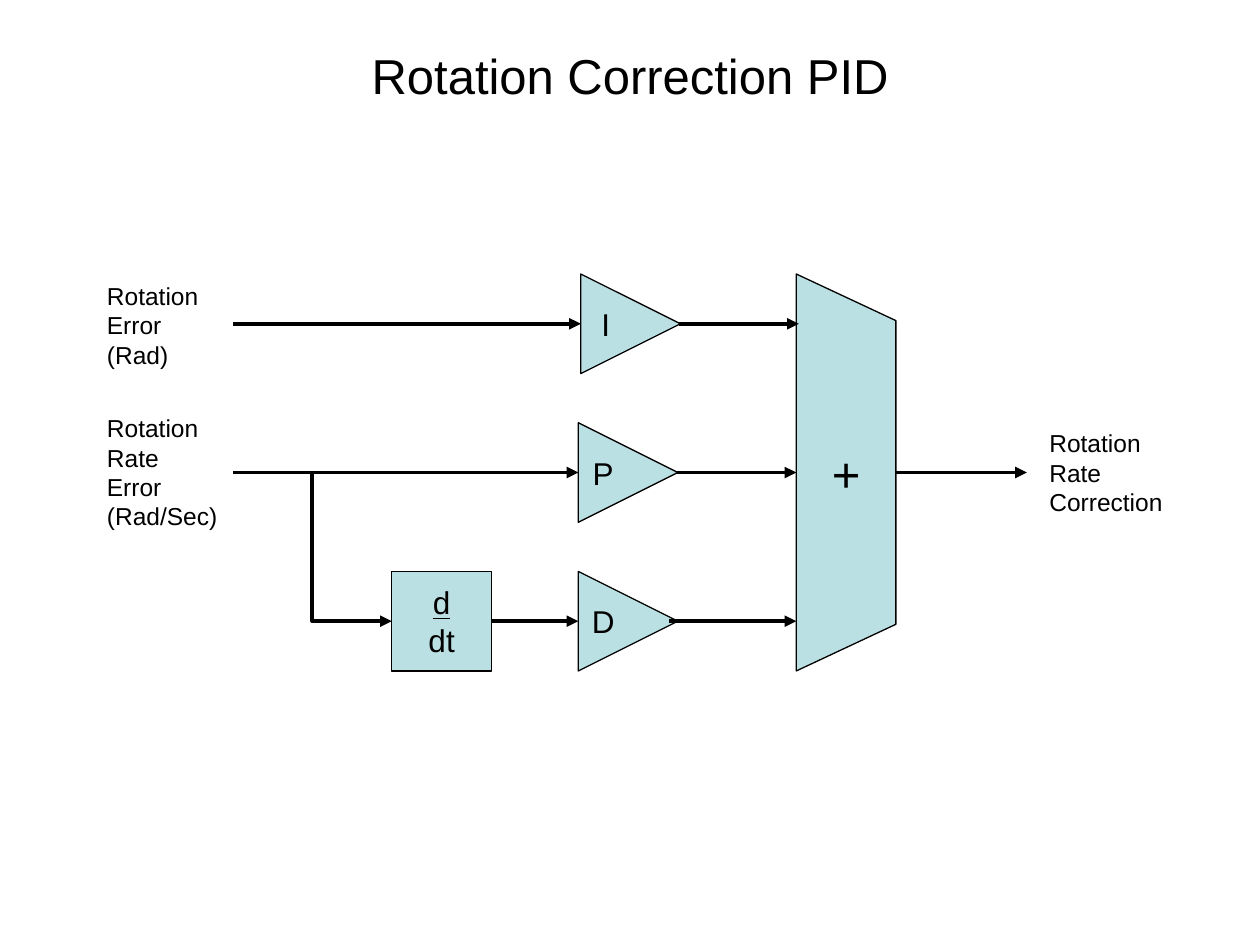
from pptx import Presentation
from pptx.dml.color import RGBColor
from pptx.enum.shapes import MSO_CONNECTOR, MSO_SHAPE
from pptx.enum.text import MSO_ANCHOR, PP_ALIGN
from pptx.oxml.ns import qn
from pptx.util import Inches, Pt
from lxml import etree

STRAIGHT, ELBOW = MSO_CONNECTOR.STRAIGHT, MSO_CONNECTOR.ELBOW
TRIANGLE, RECTANGLE = MSO_SHAPE.ISOSCELES_TRIANGLE, MSO_SHAPE.RECTANGLE
CENTER, LEFT = PP_ALIGN.CENTER, PP_ALIGN.LEFT
MIDDLE, TOP = MSO_ANCHOR.MIDDLE, MSO_ANCHOR.TOP
BLACK = RGBColor(0x00, 0x00, 0x00)
BLOCK_FILL = RGBColor(0xBB, 0xE0, 0xE3)

# Grid in inches: three signal rows, square blocks
BLOCK = 0.79
ROWS = [2.57 + 1.18 * i for i in range(3)]
INPUT_X, DERIVATIVE_X, SUM_X, OUTPUT_X = 1.85, 3.11, 6.32, 8.15
SUM_SLOPE = 0.37

# Content
TITLE = "Rotation Correction PID"
GAINS = [("I", 4.61), ("P", 4.59), ("D", 4.59)]  # letter, left edge
LABELS = [
    ("Rotation\vError\n(Rad)", 0.75, 2.18, 0.92, 0.8),
    ("Rotation\nRate\nError\n(Rad/Sec)", 0.75, 3.23, 1.08, 1.04),
    ("Rotation\nRate\nCorrection", 8.23, 3.35, 1.1, 0.8),
]
ARROWS = [  # kind, from x, from row, to x, to row
    (STRAIGHT, INPUT_X, 0, 4.61, 0),
    (STRAIGHT, INPUT_X, 1, 4.59, 1),
    (ELBOW, INPUT_X, 1, DERIVATIVE_X, 2),
    (STRAIGHT, DERIVATIVE_X + BLOCK, 2, 4.59, 2),
    (STRAIGHT, 5.39, 0, 6.34, 0),
    (STRAIGHT, 5.37, 1, SUM_X, 1),
    (STRAIGHT, 5.31, 2, SUM_X, 2),
    (STRAIGHT, SUM_X + BLOCK, 1, OUTPUT_X, 1),
]


def write(s, text, size, align=CENTER, anchor=MIDDLE, **frame):
    tf = s.text_frame
    tf.text = text
    for name, value in {"vertical_anchor": anchor, **frame}.items():
        setattr(tf, name, value)
    for p in tf.paragraphs:
        p.alignment = align
        for r in p.runs:
            r.font.name, r.font.size = "Arial", Pt(size)
            r.font.color.rgb = BLACK


def style_block(s):
    s.shadow.inherit = False
    s.fill.solid()
    s.fill.fore_color.rgb = BLOCK_FILL
    s.line.color.rgb = BLACK
    s.line.width = Pt(0.75)


def add_block(shapes, kind, x, row):
    s = shapes.add_shape(kind, Inches(x), Inches(ROWS[row] - BLOCK / 2),
                         Inches(BLOCK), Inches(BLOCK))
    style_block(s)
    return s


def add_sum(shapes):
    top, bottom = ROWS[0] - BLOCK / 2, ROWS[2] + BLOCK / 2
    right = SUM_X + BLOCK
    builder = shapes.build_freeform(Inches(SUM_X), Inches(bottom))
    corners = [(SUM_X, top), (right, top + SUM_SLOPE), (right, bottom - SUM_SLOPE)]
    builder.add_line_segments([(Inches(x), Inches(y)) for x, y in corners])
    s = builder.convert_to_shape()
    style_block(s)
    write(s, "+", 28)


def add_arrow(shapes, kind, x1, row1, x2, row2):
    c = shapes.add_connector(kind, Inches(x1), Inches(ROWS[row1]),
                             Inches(x2), Inches(ROWS[row2]))
    c.line.color.rgb = BLACK
    c.line.width = Pt(2.25)
    ln = c._element.spPr.find(qn("a:ln"))
    etree.SubElement(ln, qn("a:tailEnd"), type="triangle")
    etree.SubElement(c._element.spPr, qn("a:effectLst"))


def main():
    prs = Presentation()
    prs.slide_width, prs.slide_height = Inches(10), Inches(7.5)
    slide = prs.slides.add_slide(prs.slide_layouts[5])
    shapes = slide.shapes

    # Title
    title = shapes.title
    title.left, title.top = Inches(0.5), Inches(0.05)
    title.width, title.height = Inches(9), Inches(1.09)
    write(title, TITLE, 28)

    # Summing block and gains, whose text is turned back upright
    add_sum(shapes)
    for row, (letter, x) in enumerate(GAINS):
        gain = add_block(shapes, TRIANGLE, x, row)
        gain.rotation = 90
        write(gain, letter, 18, margin_left=0, margin_right=0,
              margin_top=0, margin_bottom=0)
        gain.text_frame._txBody.bodyPr.set("vert", "vert270")

    # Derivative block
    derivative = add_block(shapes, RECTANGLE, DERIVATIVE_X, 2)
    write(derivative, "d\ndt", 18, word_wrap=False)
    derivative.text_frame.paragraphs[0].runs[0].font.underline = True

    # Signals
    for arrow in ARROWS:
        add_arrow(shapes, *arrow)

    # Input and output labels, with no right margin so each word fits its line
    for text, *box in LABELS:
        label = shapes.add_textbox(*map(Inches, box))
        write(label, text, 14, LEFT, TOP, word_wrap=False, margin_right=0)

    prs.save("out.pptx")


if __name__ == "__main__":
    main()
